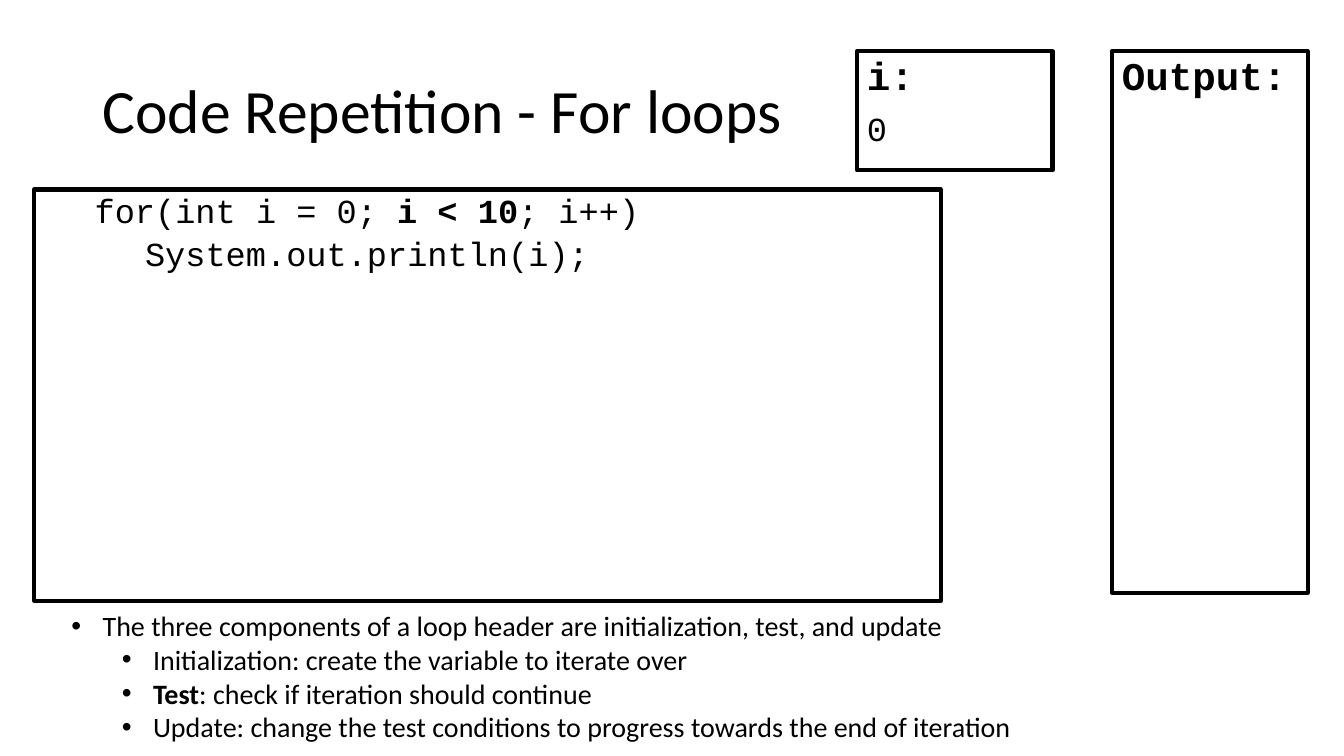
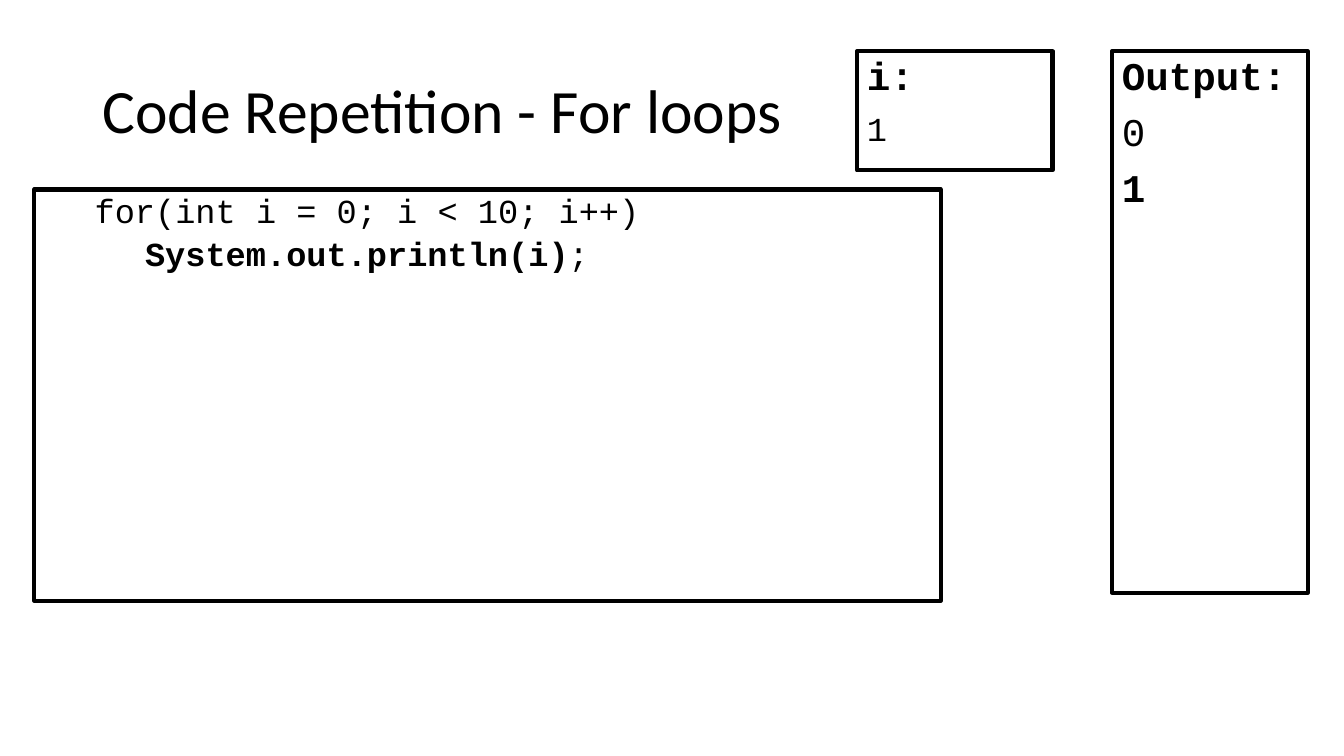
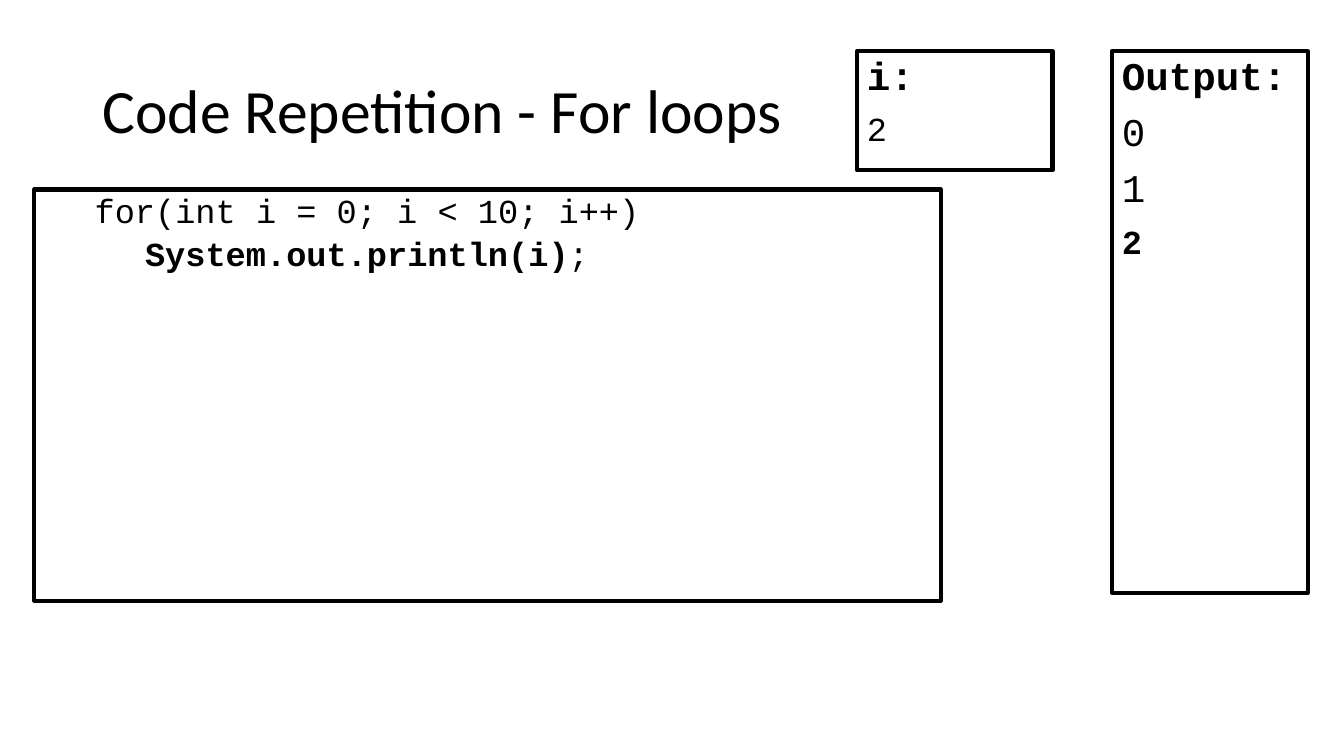
"""Three slides that trace a for loop: its header, its variable and its output."""
from lxml import etree
from pptx import Presentation
from pptx.dml.color import RGBColor
from pptx.enum.shapes import MSO_SHAPE
from pptx.enum.text import MSO_ANCHOR, PP_ALIGN
from pptx.oxml.ns import qn
from pptx.util import Inches, Pt

RECTANGLE = MSO_SHAPE.RECTANGLE
TOP, MIDDLE = MSO_ANCHOR.TOP, MSO_ANCHOR.MIDDLE
LEFT = PP_ALIGN.LEFT

COLORS = {"ink": "000000", "paper": "FFFFFF"}
BODY_FONT, CODE_FONT = "Calibri", "Courier New"

TITLE = "Code Repetition - For loops"
PRINT_STEP = ["for(int i = 0; i < 10; i++)", "**System.out.println(i)**;"]
STEPS = [
    {
        "code": ["for(int i = 0; **i < 10**; i++)", "System.out.println(i);"],
        "i": "0",
        "output": [],
        "notes": [
            (0, "The three components of a loop header are initialization, test, and update"),
            (1, "Initialization: create the variable to iterate over"),
            (1, "**Test**: check if iteration should continue"),
            (1, "Update: change the test conditions to progress towards the end of iteration"),
        ],
    },
    {"code": PRINT_STEP, "i": "1", "output": [("0", 28), ("**1**", 28)], "notes": []},
    {"code": PRINT_STEP, "i": "2", "output": [("0", 28), ("1", 28), ("**2**", 24)], "notes": []},
]

TITLE_BOX = (0.92, 0.4, 11.5, 1.45)
OUTPUT_BOX = (11.03, 0.51, 1.94, 5.37)
CODE_BOX = (0.34, 1.88, 8.99, 4.08)
VARIABLE_BOX = (8.5, 0.51, 1.94, 1.18)
NOTES_BOX = (0.61, 5.99, 12.06, 1.45)


def color(name):
    return RGBColor.from_string(COLORS[name])


def line(text, size, font=CODE_FONT, margin=0, indent=0, before=0, spacing=0.9, bullet=None):
    return {"text": text, "size": size, "font": font, "margin": margin, "indent": indent,
            "before": before, "spacing": spacing, "bullet": bullet}


def write(frame, lines, anchor=TOP):
    """Fill a frame with lines; text between double asterisks is bold."""
    frame.word_wrap = True
    frame.vertical_anchor = anchor
    for index, item in enumerate(lines):
        paragraph = frame.paragraphs[0] if index == 0 else frame.add_paragraph()
        properties = paragraph._p.get_or_add_pPr()
        properties.set("marL", str(Inches(item["margin"])))
        properties.set("indent", str(Inches(item["indent"])))
        if item["bullet"]:
            etree.SubElement(properties, qn("a:buFont"), typeface="Arial")
            etree.SubElement(properties, qn("a:buChar"), char=item["bullet"])
        paragraph.alignment = LEFT
        paragraph.line_spacing = item["spacing"]
        paragraph.space_before = Pt(item["before"] if index else 0)
        for position, part in enumerate(item["text"].split("**")):
            if part:
                run = paragraph.add_run()
                run.text = part
                run.font.name = item["font"]
                run.font.size = Pt(item["size"])
                run.font.bold = position % 2 == 1
                run.font.color.rgb = color("ink")


def add_text(slide, box, lines, anchor=TOP):
    write(slide.shapes.add_textbox(*map(Inches, box)).text_frame, lines, anchor)


def add_panel(slide, box, lines):
    panel = slide.shapes.add_shape(RECTANGLE, *map(Inches, box))
    panel.shadow.inherit = False
    panel.fill.background()
    panel.line.color.rgb = color("ink")
    panel.line.width = Pt(3)
    write(panel.text_frame, lines)


def add_step(deck, step):
    slide = deck.slides.add_slide(deck.slide_layouts[6])
    slide.background.fill.solid()
    slide.background.fill.fore_color.rgb = color("paper")
    add_text(slide, TITLE_BOX, [line(TITLE, 44, BODY_FONT)], MIDDLE)
    printed = [("**Output:**", 28)] + step["output"]
    add_panel(slide, OUTPUT_BOX, [line(text, size, before=10) for text, size in printed])
    add_panel(slide, CODE_BOX, [line(text, 24, margin=0.5, indent=0.5 * depth, before=5)
                                for depth, text in enumerate(step["code"])])
    add_panel(slide, VARIABLE_BOX, [line("**i:**", 28), line(step["i"], 24, before=10)])
    if step["notes"]:
        add_text(slide, NOTES_BOX, [
            line(text, 20, BODY_FONT, 0.31 + 0.5 * level, -0.31, spacing=1.0, bullet="•")
            for level, text in step["notes"]])


def main():
    deck = Presentation()
    deck.slide_width, deck.slide_height = Inches(13.33), Inches(7.5)
    for step in STEPS:
        add_step(deck, step)
    deck.save("out.pptx")


if __name__ == "__main__":
    main()
